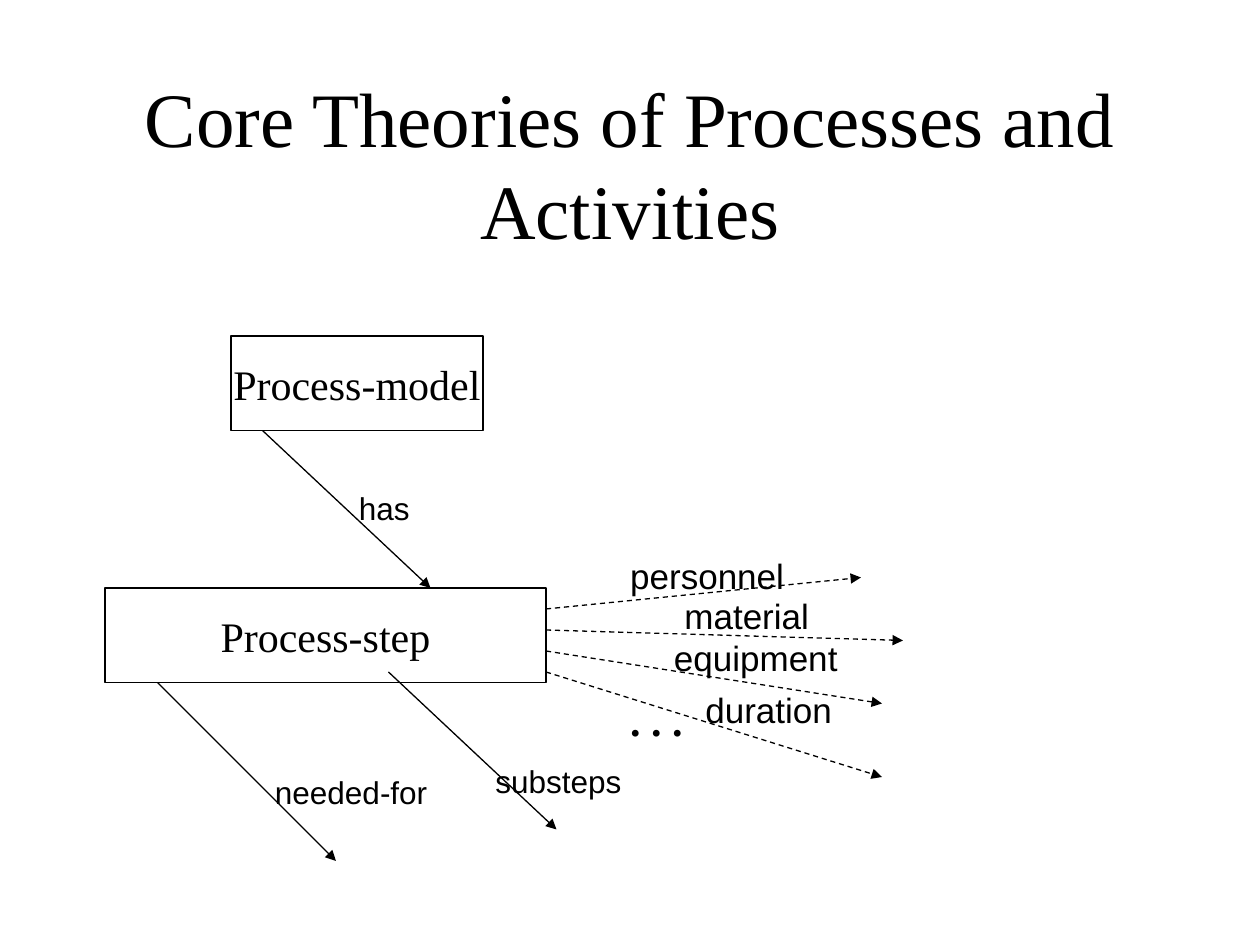
from pptx import Presentation
from pptx import util as u
from pptx.dml.color import RGBColor
from pptx.enum import dml, shapes, text
from pptx.oxml.ns import qn
from lxml import etree


def color(value):
    return RGBColor.from_string(value)


def write(shape, content, font="Arial", size=20, bold=False, wrap=True,
          align=text.PP_ALIGN.LEFT, anchor=text.MSO_ANCHOR.TOP):
    frame = shape.text_frame
    frame.word_wrap = wrap
    frame.vertical_anchor = anchor
    paragraph = frame.paragraphs[0]
    paragraph.alignment = align
    run = paragraph.add_run()
    run.text = content
    run.font.name = font
    run.font.size = u.Pt(size)
    run.font.bold = bold
    run.font.color.rgb = color("000000")


presentation = Presentation()
presentation.slide_width = u.Pt(720)
presentation.slide_height = u.Pt(540)
slide = presentation.slides.add_slide(presentation.slide_layouts[6])
serif = "Times New Roman"
centred = {"align": text.PP_ALIGN.CENTER, "anchor": text.MSO_ANCHOR.MIDDLE}

title = slide.shapes.add_textbox(u.Pt(54), u.Pt(48), u.Pt(612), u.Pt(90))
write(title, "Core Theories of Processes and Activities",
      font=serif, size=44, **centred)

boxes = [
    ("Process-step", 60, 336, 252),
    ("Process-model", 132, 192, 144),
]
for name, left, top, width in boxes:
    box = slide.shapes.add_shape(shapes.MSO_SHAPE.RECTANGLE,
                                 u.Pt(left), u.Pt(top), u.Pt(width), u.Pt(54))
    box.shadow.inherit = False
    box.fill.background()
    box.line.color.rgb = color("000000")
    box.line.width = u.Pt(0.75)
    write(box, name, font=serif, size=24, wrap=False, **centred)

attribute_ends = [(492, 330), (516, 366), (504, 402), (504, 444)]
arrows = [(312, 348 + 12 * row, x, y, True)
          for row, (x, y) in enumerate(attribute_ends)]
arrows += [
    (150, 246, 246, 336, False),
    (222, 384, 318, 474, False),
    (90, 390, 192, 492, False),
]
for start_x, start_y, end_x, end_y, dashed in arrows:
    arrow = slide.shapes.add_connector(shapes.MSO_CONNECTOR.STRAIGHT,
                                       u.Pt(start_x), u.Pt(start_y),
                                       u.Pt(end_x), u.Pt(end_y))
    arrow.line.color.rgb = color("000000")
    arrow.line.width = u.Pt(0.75)
    if dashed:
        arrow.line.dash_style = dml.MSO_LINE.DASH
    properties = arrow._element.spPr
    etree.SubElement(properties.find(qn("a:ln")), qn("a:tailEnd"), type="triangle")
    etree.SubElement(properties, qn("a:effectLst"))

labels = [
    ("personnel", 353, 313.5, 104, 32, {}),
    ("material", 384, 336, 88, 32, {}),
    ("equipment", 378, 360, 110, 32, {}),
    ("duration", 396, 390, 88, 32, {}),
    (". . .", 353, 393.5, 47, 36, {"font": serif, "size": 24, "bold": True}),
    ("has", 198, 276, 45, 29, {"size": 18}),
    ("substeps", 276, 432, 89, 29, {"size": 18}),
    ("needed-for", 150, 438, 104, 29, {"size": 18}),
]
for content, left, top, width, height, style in labels:
    label = slide.shapes.add_textbox(u.Pt(left), u.Pt(top), u.Pt(width), u.Pt(height))
    label.text_frame.auto_size = text.MSO_AUTO_SIZE.SHAPE_TO_FIT_TEXT
    write(label, content, **style)

presentation.save("out.pptx")
